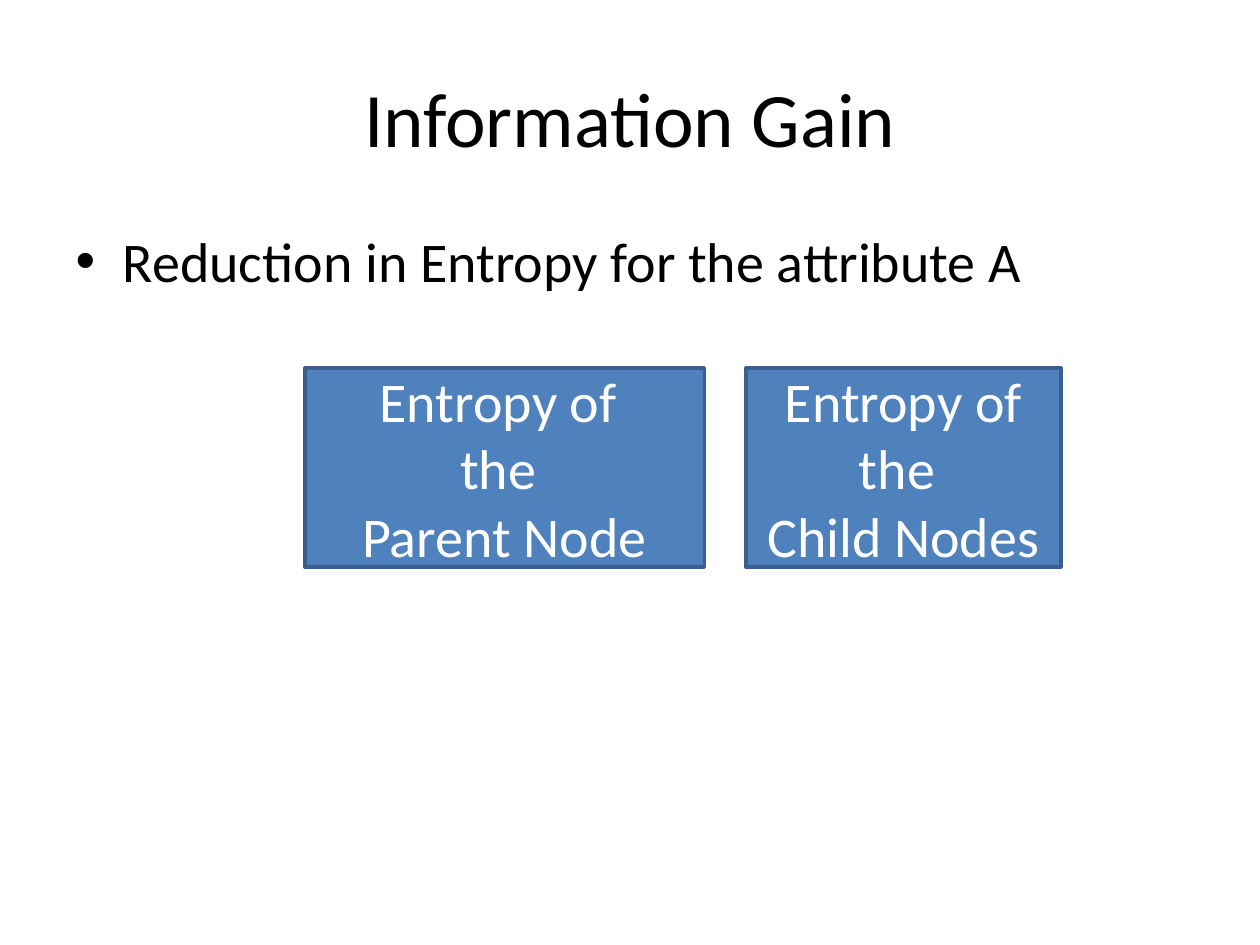
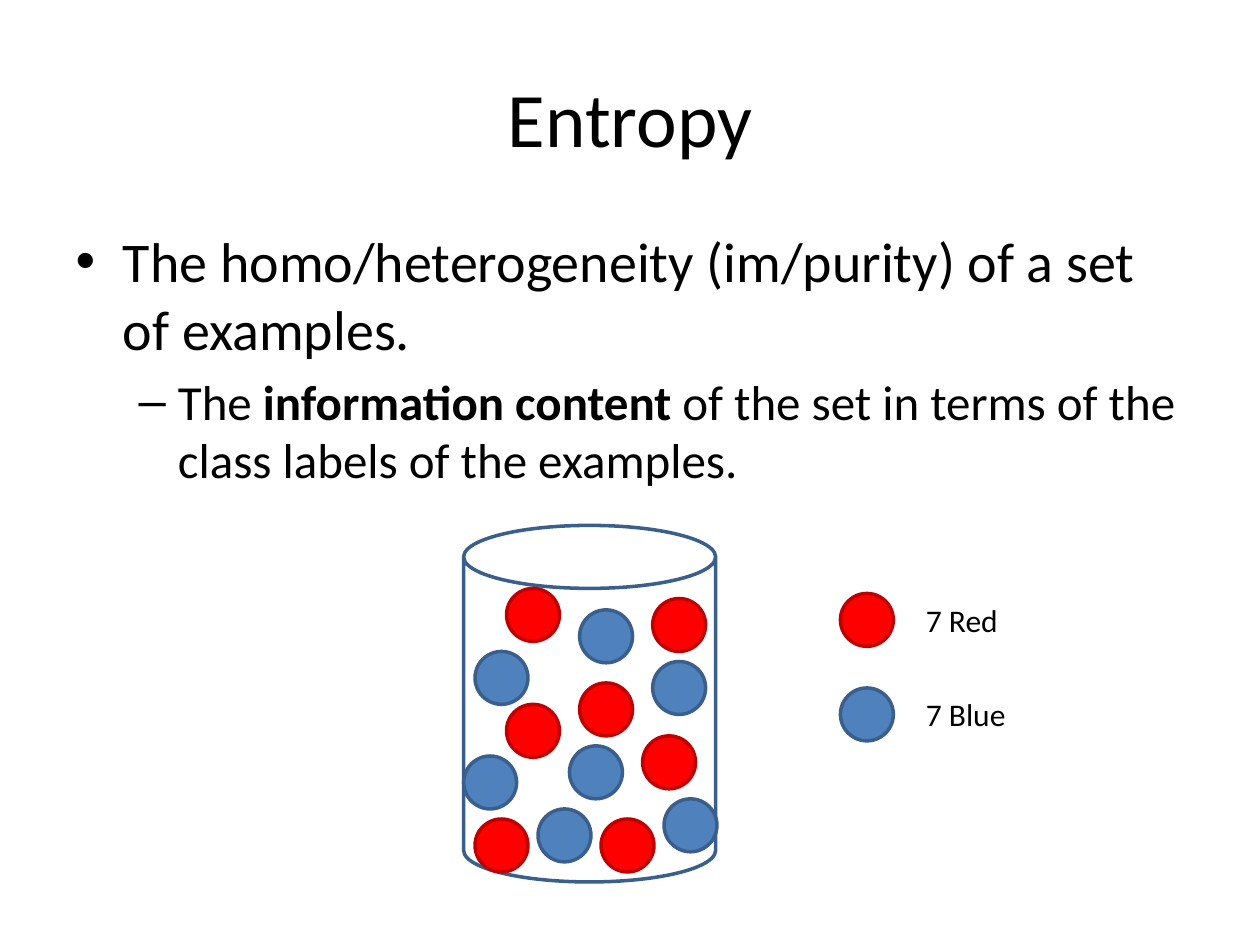
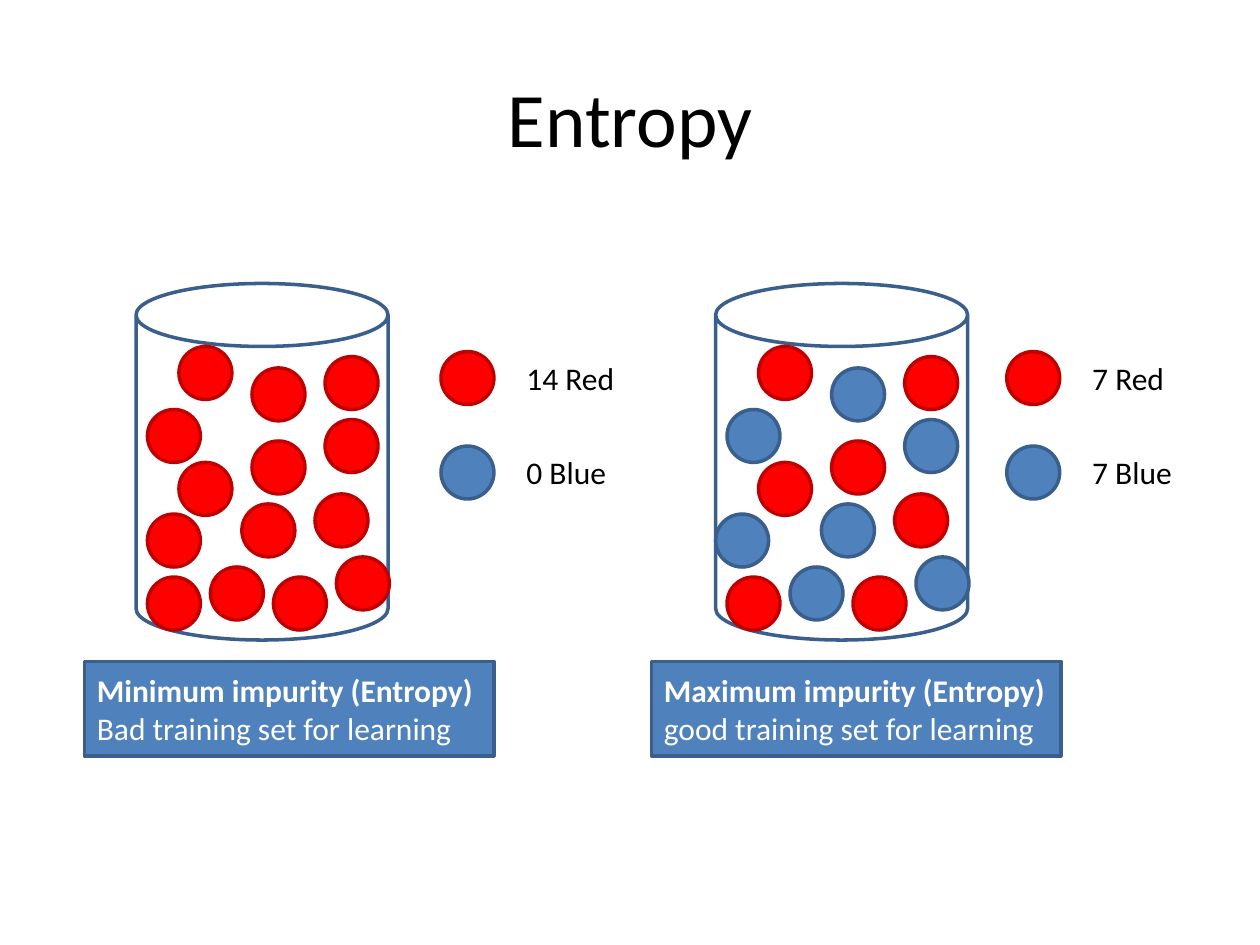
"""Build three slides on entropy and information gain."""
import pptx
import pptx.dml.color
import pptx.enum.shapes
import pptx.enum.text
import pptx.util

Inches = pptx.util.Inches
SHAPE = pptx.enum.shapes.MSO_SHAPE
ALIGN = pptx.enum.text.PP_ALIGN
ANCHOR = pptx.enum.text.MSO_ANCHOR

FONT = "Calibri"
BLACK, WHITE = "000000", "FFFFFF"
BLUE, BLUE_LINE = "4F81BD", "3A5F8C"
RED, RED_LINE = "FF0000", "C00000"
BALL = 0.42
CAN_W, CAN_H = 2, 2.83
LEGEND_TOP, LEGEND_STEP, LABEL_GAP = 0.54, 0.75, 0.58
TILT = 8.2

RED_SPOTS = [(0.34, 1.42), (1.09, 2.33), (0.09, 2.33), (0.34, 0.5),
             (0.92, 1.25), (1.5, 0.58), (1.42, 1.67)]
BLUE_SPOTS = [(0.59, 2.25), (1.5, 1.08), (0.09, 1), (0.92, 0.67), (1.59, 2.17)]
TILTED_SPOT = (0.84, 1.75)
EDGE_SPOT, INNER_SPOT = (0, 1.83), (0.09, 1.83)


def rgb(color):
    """Turn a hex string into a colour."""
    return pptx.dml.color.RGBColor.from_string(color)


def add_run(p, text, size, color=BLACK, bold=False):
    """Add one formatted run to a paragraph."""
    r = p.add_run()
    r.text = text
    r.font.name, r.font.size, r.font.bold = FONT, pptx.util.Pt(size), bold
    r.font.color.rgb = rgb(color)


def add_lines(tf, lines, size, color=BLACK, align=ALIGN.LEFT):
    """Fill a text frame; each line is a level and its (text, bold) runs."""
    for i, (level, runs) in enumerate(lines):
        p = tf.add_paragraph() if i else tf.paragraphs[0]
        p.alignment, p.level = align, level
        for text, bold in runs:
            add_run(p, text, size - 4 * level, color, bold)


def place(sp, x, y, w, h):
    """Position a placeholder."""
    sp.left, sp.top, sp.width, sp.height = map(Inches, (x, y, w, h))


def add_slide(prs, title, bullets=None):
    """Add a slide with a title and an optional bullet list."""
    s = prs.slides.add_slide(prs.slide_layouts[1 if bullets else 5])
    place(s.shapes.title, 0.5, 0.3, 9, 1.25)
    tf = s.shapes.title.text_frame
    tf.vertical_anchor = ANCHOR.MIDDLE
    add_lines(tf, [(0, [(title, False)])], 44, align=ALIGN.CENTER)
    if bullets:
        body = s.placeholders[1]
        place(body, 0.5, 1.75, 9, 4.95)
        add_lines(body.text_frame, bullets, 32)
    return s


def add_outline(s, kind, x, y, w, h, fill=BLUE, line=BLUE_LINE):
    """Add a preset shape with a 2 pt line and no shadow."""
    sp = s.shapes.add_shape(kind, *map(Inches, (x, y, w, h)))
    sp.shadow.inherit = False
    if fill:
        sp.fill.solid()
        sp.fill.fore_color.rgb = rgb(fill)
    else:
        sp.fill.background()
    sp.line.color.rgb = rgb(line)
    sp.line.width = pptx.util.Pt(2)
    return sp


def add_box(s, x, y, w, h, lines, size, align):
    """Add a blue rectangle with white (text, bold) lines."""
    tf = add_outline(s, SHAPE.RECTANGLE, x, y, w, h).text_frame
    tf.word_wrap = True
    tf.vertical_anchor = ANCHOR.MIDDLE
    add_lines(tf, [(0, [line]) for line in lines], size, WHITE, align)


def add_ball(s, x, y, red):
    """Add a red or blue ball."""
    fill, line = (RED, RED_LINE) if red else (BLUE, BLUE_LINE)
    return add_outline(s, SHAPE.OVAL, x, y, BALL, BALL, fill, line)


def add_jar(s, x, y, all_red=False):
    """Add a can holding fourteen balls."""
    add_outline(s, SHAPE.CAN, x, y, CAN_W, CAN_H, None)
    for dx, dy in RED_SPOTS:
        add_ball(s, x + dx, y + dy, True)
    for dx, dy in BLUE_SPOTS + [INNER_SPOT if all_red else EDGE_SPOT]:
        add_ball(s, x + dx, y + dy, all_red)
    dx, dy = TILTED_SPOT
    add_ball(s, x + dx, y + dy, all_red).rotation = TILT


def add_legend(s, x, jar_top, labels):
    """Add the red and blue counts, given as (text, width), beside a jar."""
    for i, (text, width) in enumerate(labels):
        y = jar_top + LEGEND_TOP + i * LEGEND_STEP
        add_ball(s, x, y, i == 0)
        sp = s.shapes.add_textbox(*map(Inches, (x + LABEL_GAP, y + 0.01, width, 0.4)))
        tf = sp.text_frame
        tf.word_wrap = False
        tf.auto_size = pptx.enum.text.MSO_AUTO_SIZE.SHAPE_TO_FIT_TEXT
        add_lines(tf, [(0, [(text, False)])], 18)


def main():
    """Build and save the presentation."""
    prs = pptx.Presentation()
    prs.slide_width, prs.slide_height = Inches(10), Inches(7.5)
    even = [("7 Red", 0.78), ("7 Blue", 0.84)]
    pure = [("14 Red", 0.91), ("0 Blue", 0.84)]

    s = add_slide(prs, "Information Gain",
                  [(0, [("Reduction in Entropy for the attribute A", False)])])
    for x, w, lines in [(2.42, 3.17, ["Entropy of ", "the ", "Parent Node"]),
                        (5.92, 2.5, ["Entropy of the ", "Child Nodes"])]:
        add_box(s, x, 2.92, w, 1.58, [(t, False) for t in lines], 32, ALIGN.CENTER)

    s = add_slide(prs, "Entropy", [
        (0, [("The homo/heterogeneity (im/purity) of a set of examples.", False)]),
        (1, [("The ", False), ("information content", True),
             (" of the set in terms of the class labels of the examples.", False)])])
    add_jar(s, 3.68, 4.17)
    add_legend(s, 6.67, 4.17, even)

    s = add_slide(prs, "Entropy")
    for jar_x, all_red, legend_x, labels, box_x, head, note in [
            (1.08, True, 3.5, pure, 0.67, "Minimum", "Bad"),
            (5.68, False, 7.99, even, 5.17, "Maximum", "good")]:
        add_jar(s, jar_x, 2.25, all_red)
        add_legend(s, legend_x, 2.25, labels)
        add_box(s, box_x, 5.25, 3.25, 0.75,
                [(f"{head} impurity (Entropy)", True),
                 (f"{note} training set for learning", False)], 18, ALIGN.LEFT)

    prs.save("out.pptx")


if __name__ == "__main__":
    main()
